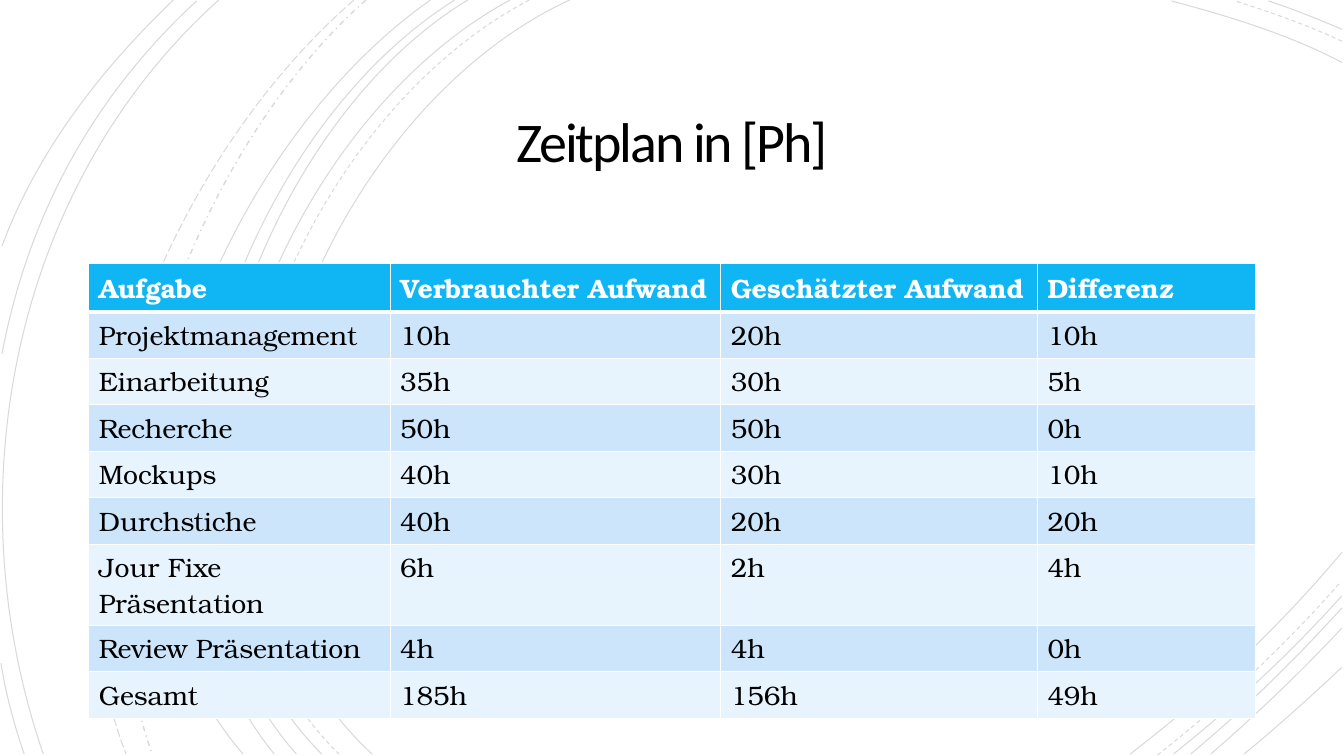
from lxml import etree
from pptx import Presentation
from pptx.dml.color import RGBColor
from pptx.enum.dml import MSO_LINE
from pptx.enum.shapes import MSO_SHAPE
from pptx.enum.text import MSO_ANCHOR, MSO_AUTO_SIZE, PP_ALIGN
from pptx.oxml.ns import qn
from pptx.util import Inches, Pt

SOLID, DASH = MSO_LINE.SOLID, MSO_LINE.DASH
DASH_DOT, LONG_DASH = MSO_LINE.DASH_DOT, MSO_LINE.LONG_DASH
RECTANGLE = MSO_SHAPE.RECTANGLE
MIDDLE, CENTER, NO_FIT = MSO_ANCHOR.MIDDLE, PP_ALIGN.CENTER, MSO_AUTO_SIZE.NONE
BLACK, WHITE = "000000", "FFFFFF"
HEADER_BLUE, BANDS = "10B6F4", ("E7F3FD", "CCE5FB")


def rgb(hex_color):
    return RGBColor.from_string(hex_color)


prs = Presentation()
prs.slide_width, prs.slide_height = Inches(13.33), Inches(7.5)
slide = prs.slides.add_slide(prs.slide_layouts[5])

# White backdrop
backdrop = slide.shapes.add_shape(RECTANGLE, 0, 0, prs.slide_width, prs.slide_height)
backdrop.shadow.inherit = False
backdrop.fill.solid()
backdrop.fill.fore_color.rgb = rgb(WHITE)
backdrop.line.fill.background()

# Background arcs: dash, width, then start, two control points and end
arcs = [
    (SOLID, 0.75, (5.65, 0), (3.15, 1.15), (1.43, 5.4), (3.69, 7.48)),
    (SOLID, 0.75, (13.31, 0.62), (12.78, 0.34), (12.18, 0.16), (11.62, 0.01)),
    (SOLID, 0.75, (11.21, 7.48), (11.97, 6.9), (12.69, 6.22), (13.31, 5.48)),
    (DASH, 0.75, (5.25, 0), (2.85, 1.25), (1.23, 5.37), (3.36, 7.48)),
    (DASH, 0.75, (13.31, 0.41), (12.97, 0.25), (12.6, 0.12), (12.25, 0.01)),
    (DASH, 0.75, (11.48, 7.49), (12.13, 6.98), (12.75, 6.4), (13.3, 5.77)),
    (SOLID, 0.75, (5.06, 0), (2.7, 1.27), (1.1, 5.37), (3.19, 7.48)),
    (SOLID, 0.75, (13.31, 0.29), (13.07, 0.19), (12.83, 0.09), (12.58, 0.01)),
    (SOLID, 0.75, (11.64, 7.48), (12.23, 7.01), (12.8, 6.48), (13.31, 5.91)),
    (SOLID, 0.75, (4.64, 0), (2.44, 1.33), (1.1, 5.41), (2.94, 7.48)),
    (SOLID, 0.75, (11.81, 7.48), (12.34, 7.04), (12.84, 6.55), (13.31, 6.03)),
    (SOLID, 0.75, (4.51, 0), (2.31, 1.38), (0.97, 5.33), (2.72, 7.48)),
    (SOLID, 0.75, (12.01, 7.48), (12.46, 7.09), (12.9, 6.67), (13.31, 6.23)),
    (SOLID, 0.75, (4.27, 0), (2.17, 1.47), (0.53, 5.29), (2.41, 7.48)),
    (SOLID, 0.75, (12.34, 7.48), (12.67, 7.21), (12.99, 6.92), (13.31, 6.62)),
    (DASH_DOT, 1, (3.63, 0), (1.76, 1.66), (0.65, 5.09), (1.51, 7.48)),
    (LONG_DASH, 0.75, (3.51, 0), (1.57, 1.69), (0.29, 4.99), (1.25, 7.48)),
    (SOLID, 0.75, (2.17, 0), (0.11, 1.85), (-0.46, 4.9), (0.43, 7.48)),
    (SOLID, 0.75, (1.95, 0.01), (0.92, 0.96), (0.28, 2.14), (0.02, 3.51)),
    (SOLID, 0.75, (0.01, 6.58), (0.06, 6.89), (0.14, 7.19), (0.24, 7.48)),
    (SOLID, 0.75, (1.72, 0), (1, 0.69), (0.37, 1.5), (0.02, 2.44)),
]
for dash, width, *controls in arcs:
    start, *others = [(Inches(x), Inches(y)) for x, y in controls]
    builder = slide.shapes.build_freeform(*start)
    builder.add_line_segments(others, close=False)
    arc = builder.convert_to_shape()
    # Turn the three straight segments into one cubic curve
    segments = list(arc._element.iter(qn("a:lnTo")))
    outline = segments[0].getparent()
    curve = etree.SubElement(outline, qn("a:cubicBezTo"))
    for segment in segments:
        curve.append(segment[0])
        outline.remove(segment)
    arc.shadow.inherit = False
    arc.fill.background()
    arc.line.width = Pt(width)
    arc.line.color.rgb = rgb(BLACK)
    arc.line.dash_style = dash
    stroke = arc.line._get_or_add_ln().find(".//" + qn("a:srgbClr"))
    etree.SubElement(stroke, qn("a:alpha"), val="15000")

# Title, brought in front of the backdrop
title = slide.shapes.title
slide.shapes._spTree.append(title._element)
title.left, title.top = Inches(1.92), Inches(0.87)
title.width, title.height = Inches(9.49), Inches(1.15)
title_format = {"auto_size": NO_FIT, "vertical_anchor": MIDDLE, "word_wrap": True}
title_format.update({f"margin_{side}": Inches(0.25)
                     for side in ("left", "top", "right", "bottom")})
for attribute, value in title_format.items():
    setattr(title.text_frame, attribute, value)
heading = title.text_frame.paragraphs[0]
heading.alignment, heading.line_spacing = CENTER, 0.85
heading_run = heading.add_run()
heading_run.text = "Zeitplan in [Ph]"
for attribute, value in {"name": "Calibri", "size": Pt(40)}.items():
    setattr(heading_run.font, attribute, value)
heading_run.font.color.rgb = rgb(BLACK)
heading_run.font._element.set("spc", "-150")

# Schedule table
schedule = [
    ("Aufgabe", "Verbrauchter Aufwand", "Geschätzter Aufwand", "Differenz"),
    ("Projektmanagement", "10h", "20h", "10h"),
    ("Einarbeitung", "35h", "30h", "5h"),
    ("Recherche", "50h", "50h", "0h"),
    ("Mockups", "40h", "30h", "10h"),
    ("Durchstiche", "40h", "20h", "20h"),
    ("Jour Fixe Präsentation", "6h", "2h", "4h"),
    ("Review Präsentation", "4h", "4h", "0h"),
    ("Gesamt", "185h", "156h", "49h"),
]
column_widths = (2.99, 3.28, 3.14, 2.16)
table_height = 4.15
row_height = Inches(table_height / len(schedule))
table = slide.shapes.add_table(
    len(schedule), len(column_widths), Inches(0.88), Inches(2.61),
    Inches(sum(column_widths)), Inches(table_height)).table
for column, width in zip(table.columns, column_widths):
    column.width = Inches(width)

for row, entries in enumerate(schedule):
    is_header = row == 0
    table.rows[row].height = row_height
    # The rule between header and body is heavier than the others
    borders = {"lnL": 1, "lnR": 1, "lnT": 3 if row == 1 else 1, "lnB": 3 if is_header else 1}
    for col, entry in enumerate(entries):
        cell = table.cell(row, col)
        cell.text = entry
        cell_properties = cell._tc.get_or_add_tcPr()
        for edge, points in borders.items():
            border = etree.SubElement(cell_properties, qn(f"a:{edge}"), w=str(Pt(points)))
            border_fill = etree.SubElement(border, qn("a:solidFill"))
            etree.SubElement(border_fill, qn("a:srgbClr"), val=WHITE)
        cell.fill.solid()
        cell.fill.fore_color.rgb = rgb(HEADER_BLUE if is_header else BANDS[row % 2])
        font = cell.text_frame.paragraphs[0].runs[0].font
        for attribute, value in {"name": "TeX Gyre Bonum", "size": Pt(19),
                                 "bold": is_header}.items():
            setattr(font, attribute, value)
        font.color.rgb = rgb(WHITE if is_header else BLACK)

prs.save("out.pptx")
